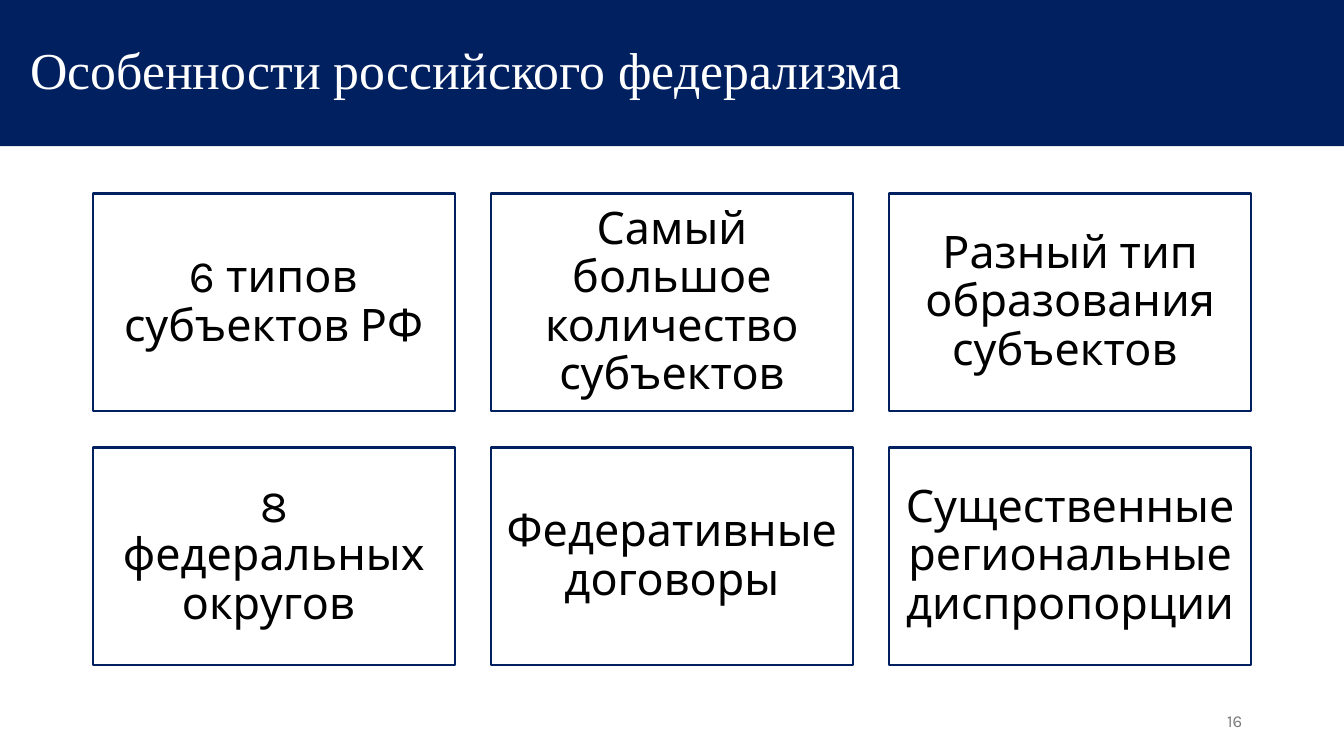
from dataclasses import dataclass

from pptx import Presentation
from pptx.dml.color import RGBColor
from pptx.enum.shapes import MSO_SHAPE
from pptx.enum.text import MSO_ANCHOR, MSO_AUTO_SIZE, PP_ALIGN
from pptx.util import Inches, Pt

RECTANGLE = MSO_SHAPE.RECTANGLE
MIDDLE = MSO_ANCHOR.MIDDLE
NO_AUTOFIT = MSO_AUTO_SIZE.NONE
LEFT, CENTER, RIGHT = PP_ALIGN.LEFT, PP_ALIGN.CENTER, PP_ALIGN.RIGHT
TITLE_ONLY = 5


@dataclass(frozen=True)
class Theme:
    navy: RGBColor = RGBColor(0x00, 0x20, 0x60)
    white: RGBColor = RGBColor(0xFF, 0xFF, 0xFF)
    black: RGBColor = RGBColor(0x00, 0x00, 0x00)
    grey: RGBColor = RGBColor(0x79, 0x79, 0x79)
    title_font: str = "Times New Roman"
    body_font: str = "Karla"
    title_size: float = 37
    card_size: float = 32
    number_size: float = 12


THEME = Theme()

FEATURES = [
    "6 типов субъектов РФ",
    "Самый большое количество субъектов",
    "Разный тип образования субъектов ",
    "8 федеральных округов ",
    "Федеративные договоры",
    "Существенные региональные диспропорции",
]


def write(shape, text, font, size, color, align, spacing=0.9):
    """Put one formatted, vertically centred paragraph into a shape."""
    frame = shape.text_frame
    frame.text = text
    frame.word_wrap = True
    frame.auto_size = NO_AUTOFIT
    frame.vertical_anchor = MIDDLE
    para = frame.paragraphs[0]
    para.alignment = align
    para.line_spacing = spacing
    for span in para.runs:
        span.font.name = font
        span.font.size = Pt(size)
        span.font.color.rgb = color


def add_title(page, text, left, top, width, height):
    title = page.shapes.title
    title.left, title.top = Inches(left), Inches(top)
    title.width, title.height = Inches(width), Inches(height)
    title.fill.solid()
    title.fill.fore_color.rgb = THEME.navy
    write(title, text, THEME.title_font, THEME.title_size, THEME.white, LEFT)
    title.text_frame.margin_left = Inches(0.3)


def add_card(page, text, left, top, width, height):
    card = page.shapes.add_shape(
        RECTANGLE, Inches(left), Inches(top), Inches(width), Inches(height))
    card.shadow.inherit = False
    card.fill.solid()
    card.fill.fore_color.rgb = THEME.white
    card.line.color.rgb = THEME.navy
    card.line.width = Pt(1.5)
    write(card, text, THEME.body_font, THEME.card_size, THEME.black, CENTER)
    frame = card.text_frame
    frame.margin_left = frame.margin_right = Inches(0.13)
    frame.margin_top = frame.margin_bottom = Inches(0.13)


def add_card_grid(page, texts, left, top, width, height, columns=3, gap=0.36):
    rows = -(-len(texts) // columns)
    card_width = (width - gap * (columns - 1)) / columns
    card_height = (height - gap * (rows - 1)) / rows
    for index, text in enumerate(texts):
        row, column = divmod(index, columns)
        add_card(page, text,
                 left + column * (card_width + gap),
                 top + row * (card_height + gap),
                 card_width, card_height)


def add_page_number(page, text, left, top, width, height):
    box = page.shapes.add_textbox(
        Inches(left), Inches(top), Inches(width), Inches(height))
    write(box, text, THEME.body_font, THEME.number_size, THEME.grey, RIGHT, 1.0)


def build_federalism_slide(deck):
    page = deck.slides.add_slide(deck.slide_layouts[TITLE_ONLY])
    # Title band
    add_title(page, "Особенности российского федерализма", 0, 0, 13.33, 1.45)
    # Feature cards
    add_card_grid(page, FEATURES, 0.92, 1.92, 11.49, 4.68)
    # Page number
    add_page_number(page, "16", 9.42, 6.95, 3, 0.4)


def main():
    deck = Presentation()
    deck.slide_width, deck.slide_height = Inches(13.33), Inches(7.5)
    build_federalism_slide(deck)
    deck.save("out.pptx")


if __name__ == "__main__":
    main()
